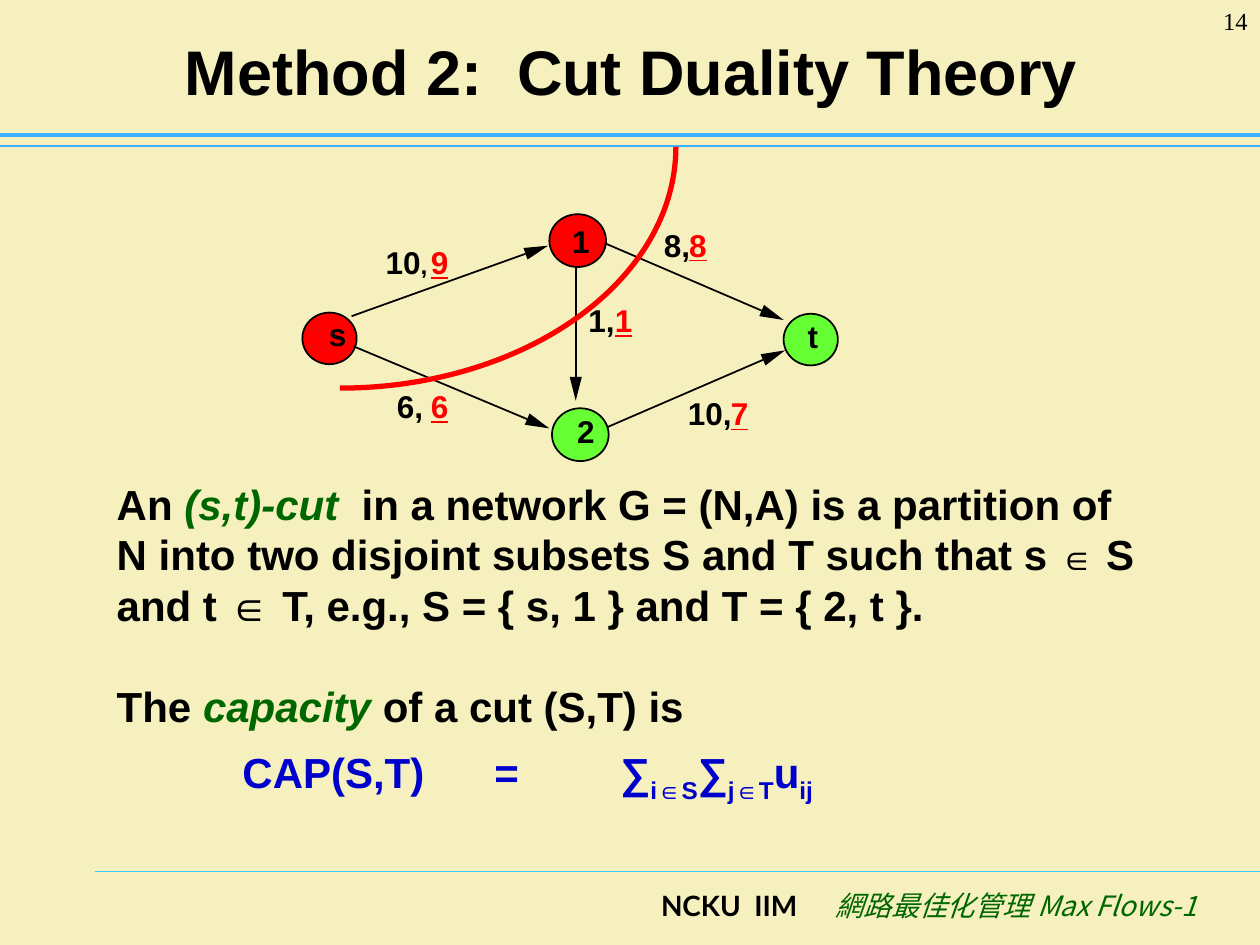
import math

from lxml import etree
from pptx import Presentation
from pptx.dml.color import RGBColor
from pptx.enum.shapes import MSO_CONNECTOR, MSO_SHAPE
from pptx.enum.text import MSO_ANCHOR, MSO_AUTO_SIZE, PP_ALIGN
from pptx.oxml.ns import qn
from pptx.util import Pt

STRAIGHT = MSO_CONNECTOR.STRAIGHT
ELLIPSE, ARC = MSO_SHAPE.OVAL, MSO_SHAPE.ARC
TOP, MIDDLE = MSO_ANCHOR.TOP, MSO_ANCHOR.MIDDLE
LEFT, CENTER, RIGHT = PP_ALIGN.LEFT, PP_ALIGN.CENTER, PP_ALIGN.RIGHT
NO_FIT = MSO_AUTO_SIZE.NONE

CREAM = RGBColor(0xF5, 0xF0, 0xBD)
SKY = RGBColor(0x3D, 0xB0, 0xFF)
CYAN = RGBColor(0x33, 0xCC, 0xFF)
BLACK = RGBColor(0, 0, 0)
RED = RGBColor(0xFF, 0, 0)
LIME = RGBColor(0x66, 0xFF, 0x33)
GREEN = RGBColor(0, 0x66, 0)
BLUE = RGBColor(0, 0, 0xCC)

HEAD_LENGTH, HEAD_HALF_WIDTH = 13.7, 3.5
LABEL_HEIGHT, LABEL_SLACK = 21.6, 6

NODES = [
    ("s", RED, (0, 56.2, 31, 29.5), (15.1, 57.6)),
    ("1", RED, (141.1, 0, 32.4, 30.2), (154.1, 4.3)),
    ("2", LIME, (142.6, 110.9, 32.4, 30.2), (157, 113)),
    ("t", LIME, (275, 56.9, 31, 29.5), (288.7, 59)),
]
ARCS = [
    ((28.1, 58.3), (140.4, 18)),
    ((29.5, 75.6), (141.1, 122.4)),
    ((172.8, 16.6), (275, 60.5)),
    ((174.2, 121.7), (275.8, 77.8)),
    ((156.2, 30.2), (156.2, 106.6)),
]
LABELS = [
    ([("10", 18), (",", 14)], "9", 47.5, 73.4, 16.6),
    ([("8,", 18)], "8", 206.6, 221, 6.5),
    ([("1,", 18)], "1", 163.4, 178.6, 49.7),
    ([("10,", 18)], "7", 220.3, 244.8, 103),
    ([("6,", 18)], "6", 54, 73.4, 98.6),
]


def add_span(para, text, size, color=BLACK, font="Arial", bold=True, italic=False):
    span = para.add_run()
    span.text = text
    span.font.name = font
    span.font.size = Pt(size)
    span.font.bold = bold
    span.font.italic = italic
    span.font.color.rgb = color
    return span


def add_tabs(para, stops, align="l"):
    tabs = etree.SubElement(para._p.get_or_add_pPr(), qn("a:tabLst"))
    for stop in stops:
        etree.SubElement(tabs, qn("a:tab"), pos=str(Pt(stop)), algn=align)


def place(shape, box):
    shape.left, shape.top, shape.width, shape.height = map(Pt, box)


def add_text_box(page, box, inset=True):
    frame = page.shapes.add_textbox(*map(Pt, box)).text_frame
    frame.word_wrap = inset
    if not inset:
        frame.margin_left = frame.margin_right = 0
        frame.margin_top = frame.margin_bottom = 0
    return frame.paragraphs[0]


def add_label(page, left, top, width=10):
    return add_text_box(page, (left, top, width + LABEL_SLACK, LABEL_HEIGHT), False)


def add_rule(page, start, end, color, width):
    rule = page.shapes.add_connector(STRAIGHT, *map(Pt, start + end))
    rule.line.color.rgb = color
    rule.line.width = Pt(width)
    etree.SubElement(rule._element.spPr, qn("a:effectLst"))


def add_arrow(page, start, tip):
    angle = math.atan2(tip[1] - start[1], tip[0] - start[0])
    along, across = math.cos(angle), math.sin(angle)
    base = (tip[0] - HEAD_LENGTH * along, tip[1] - HEAD_LENGTH * across)
    corners = [
        (Pt(base[0] - side * across), Pt(base[1] + side * along))
        for side in (HEAD_HALF_WIDTH, -HEAD_HALF_WIDTH)
    ]
    builder = page.shapes.build_freeform(Pt(tip[0]), Pt(tip[1]))
    builder.add_line_segments(corners, close=True)
    head = builder.convert_to_shape()
    head.shadow.inherit = False
    head.fill.solid()
    head.fill.fore_color.rgb = BLACK
    head.line.fill.background()
    add_rule(page, start, base, BLACK, 1)


def add_title(page, box):
    title = page.shapes.title
    place(title, box)
    frame = title.text_frame
    frame.auto_size = NO_FIT
    frame.vertical_anchor = MIDDLE
    para = frame.paragraphs[0]
    para.alignment = CENTER
    add_span(para, "Method 2:  Cut Duality Theory", 36)


def add_network(page, box):
    left, top = box[:2]
    for name, color, (x, y, width, height), (text_x, text_y) in NODES:
        node = page.shapes.add_shape(
            ELLIPSE, Pt(left + x), Pt(top + y), Pt(width), Pt(height))
        node.shadow.inherit = False
        node.fill.solid()
        node.fill.fore_color.rgb = color
        node.line.color.rgb = BLACK
        node.line.width = Pt(1)
        add_span(add_label(page, left + text_x, top + text_y), name, 18)
    for start, tip in ARCS:
        add_arrow(page, (left + start[0], top + start[1]), (left + tip[0], top + tip[1]))
    for capacity, flow, capacity_x, flow_x, y in LABELS:
        para = add_label(page, left + capacity_x, top + y, flow_x - capacity_x)
        for text, size in capacity:
            add_span(para, text, size)
        para = add_label(page, left + flow_x, top + y)
        add_span(para, flow, 18, RED).font.underline = True


def add_cut(page, box):
    cut = page.shapes.add_shape(ARC, *map(Pt, box))
    cut.shadow.inherit = False
    cut.adjustments[0] = 0
    cut.adjustments[1] = 54
    cut.fill.background()
    cut.line.color.rgb = RED
    cut.line.width = Pt(3)


def add_definition(page, box):
    body = page.placeholders[1]
    place(body, box)
    frame = body.text_frame
    frame.auto_size = NO_FIT
    frame.vertical_anchor = TOP
    definition, capacity = frame.paragraphs[0], frame.add_paragraph()
    for para, gap in ((definition, 0), (capacity, 28.8)):
        para.alignment = LEFT
        para.line_spacing = Pt(28.9)
        para.space_before = Pt(gap)
        settings = para._p.get_or_add_pPr()
        settings.set("marL", "0")
        settings.set("indent", "0")
        etree.SubElement(settings, qn("a:buNone"))
    add_span(definition, "An ", 24)
    add_span(definition, "(s,t)-cut ", 24, GREEN, italic=True)
    add_span(definition, " in a network G = (N,A) is a partition of N into two "
             "disjoint subsets S and T such that s ", 24)
    add_span(definition, "∈", 20)
    add_span(definition, " S and t ∈ T, e.g., S = { s, 1 } and T = { 2, t }.", 24)
    add_span(capacity, "The ", 24)
    add_span(capacity, "capacity ", 24, GREEN, italic=True)
    add_span(capacity, "of a cut (S,T) is", 24)


def add_formula(page, box):
    para = add_text_box(page, box)
    para.line_spacing = Pt(28.9)
    add_tabs(para, (72, 216, 288))
    add_span(para, "\tCAP(S,T) \t= \t", 24, BLUE)
    for symbol, index in (("∑", "i∈S"), ("∑", "j∈T"), ("u", "ij")):
        add_span(para, symbol, 24, BLUE)
        span = add_span(para, index, 24, BLUE)
        span.font._element.set("baseline", "-25000")


def add_footer(page, box):
    para = add_text_box(page, box)
    add_tabs(para, (316.8, 545), "r")
    add_span(para, "\tNCKU  IIM", 16, font="Lato")
    span = add_span(para, "\t網路最佳化管理 Max Flows-1", 16, GREEN,
                    "Noto Sans CJK SC", False, True)
    etree.SubElement(span.font._element, qn("a:ea"), typeface="Noto Sans CJK SC")


def add_page_number(page, box):
    para = add_text_box(page, box)
    para.alignment = RIGHT
    add_span(para, "14", 14, font="Times New Roman", bold=False)


def main():
    deck = Presentation()
    deck.slide_width, deck.slide_height = Pt(720), Pt(540)
    page = deck.slides.add_slide(deck.slide_layouts[1])
    page.background.fill.solid()
    page.background.fill.fore_color.rgb = CREAM
    add_rule(page, (54, 498), (720, 498), CYAN, 0.75)
    add_rule(page, (0, 83.5), (720, 83.5), SKY, 0.75)
    add_rule(page, (0, 77), (720, 77), SKY, 2.5)
    add_footer(page, (131.8, 504, 560, 36))
    add_title(page, (36.7, 8, 648, 64.8))
    add_network(page, (172.8, 122.4, 306, 141))
    add_cut(page, (2.2, -54, 384, 275.8))
    add_definition(page, (59.5, 269.6, 606, 155))
    add_formula(page, (59.5, 427, 606, 36))
    add_page_number(page, (660, 0, 60, 36))
    deck.save("out.pptx")


if __name__ == "__main__":
    main()
